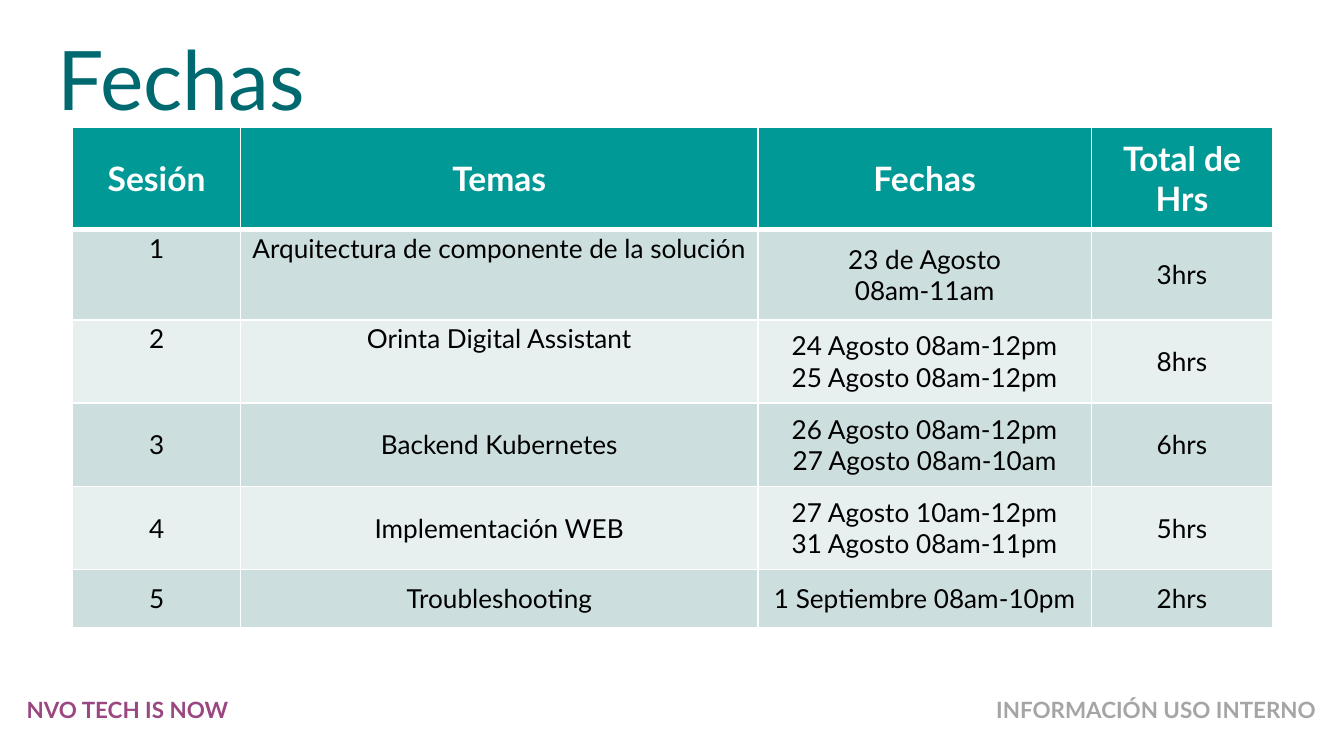
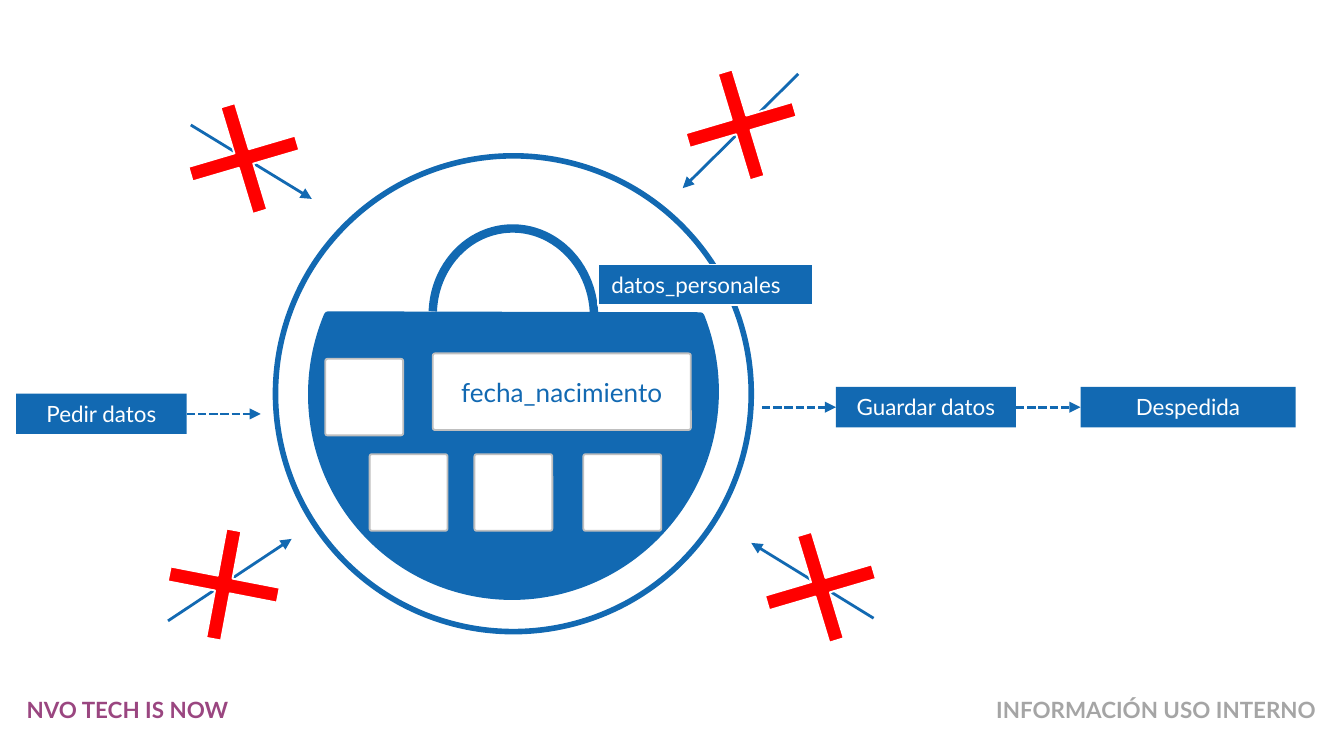
from copy import deepcopy

from lxml import etree
from pptx import Presentation
from pptx.dml.color import RGBColor
from pptx.enum.dml import MSO_LINE
from pptx.enum.shapes import MSO_CONNECTOR, MSO_SHAPE
from pptx.enum.text import MSO_ANCHOR, PP_ALIGN
from pptx.oxml.ns import qn
from pptx.util import Inches, Pt

LEFT, CENTER, RIGHT = PP_ALIGN.LEFT, PP_ALIGN.CENTER, PP_ALIGN.RIGHT
TOP, MIDDLE = MSO_ANCHOR.TOP, MSO_ANCHOR.MIDDLE
STRAIGHT, DASH = MSO_CONNECTOR.STRAIGHT, MSO_LINE.SQUARE_DOT
SITE_LEFT, SITE_RIGHT = 1, 3

FONT = "Lato"
WHITE, BLACK, BLUE, RED = "FFFFFF", "000000", "1269B2", "FF0000"
PURPLE, GREY, SQUARE_EDGE = "9A4680", "A5A5A5", "BFBFBF"
TITLE_TEAL, HEADER_TEAL = "006970", "009996"
ROW_BANDS = ["CCDEDD", "E7EFEF"]

color = RGBColor.from_string


def write(frame, text, size=12, hue=BLACK, bold=False, align=LEFT, anchor=TOP, spacing=None):
    """Fill a text frame: \\n starts a paragraph, \\v breaks a line."""
    frame.word_wrap = True
    frame.vertical_anchor = anchor
    for number, line in enumerate(text.split("\n")):
        paragraph = frame.add_paragraph() if number else frame.paragraphs[0]
        paragraph.alignment = align
        if spacing:
            paragraph.line_spacing = spacing
        for part, words in enumerate(line.split("\v")):
            if part:
                paragraph.add_line_break()
            run = paragraph.add_run()
            run.text = words
            run.font.name, run.font.size, run.font.bold = FONT, Pt(size), bold
            run.font.color.rgb = color(hue)
            if part:  # the break takes the format of its run
                run._r.getprevious().append(deepcopy(run._r.rPr))


def draw(slide, kind, box, fill=None, edge=None, width=1, rotation=0, adjust=()):
    """Add a preset shape with its fill, outline and adjustments."""
    shape = slide.shapes.add_shape(kind, *map(Inches, box))
    shape.shadow.inherit = False
    shape.rotation = rotation
    for index, value in enumerate(adjust):
        shape.adjustments[index] = value
    if fill:
        shape.fill.solid()
        shape.fill.fore_color.rgb = color(fill)
    else:
        shape.fill.background()
    if edge:
        shape.line.color.rgb = color(edge)
        shape.line.width = Pt(width)
    else:
        shape.line.fill.background()
    return shape


# A 16:9 page
prs = Presentation()
prs.slide_width = Inches(10)
prs.slide_height = Inches(10) * 9 // 16

# Both slides carry the same footers
footers = [
    ("NVO TECH IS NOW", 0.1, 2.31, PURPLE, LEFT),
    ("INFORMACIÓN USO INTERNO", 7.17, 2.72, GREY, RIGHT),
]
slides = [prs.slides.add_slide(prs.slide_layouts[6]) for _ in range(2)]
for slide in slides:
    for text, left, width, hue, align in footers:
        footer = slide.shapes.add_textbox(Inches(left), Inches(5.13), Inches(width), Inches(0.3))
        write(footer.text_frame, text, hue=hue, bold=True, align=align)
dates_slide, flow_slide = slides

# Dates: title
title = dates_slide.shapes.add_textbox(Inches(0.33), Inches(0.16), Inches(7.66), Inches(0.84))
write(title.text_frame, "Fechas", size=44, hue=TITLE_TEAL)

# Dates: schedule table
sessions = [
    ("Sesión", "Temas", "Fechas", "Total de Hrs"),
    ("1", "Arquitectura de componente de la solución", "23 de Agosto\v08am-11am", "3hrs"),
    ("2", "Orinta Digital Assistant", "24 Agosto 08am-12pm\n25 Agosto 08am-12pm", "8hrs"),
    ("3", "Backend Kubernetes", "26 Agosto 08am-12pm\n27 Agosto 08am-10am", "6hrs"),
    ("4", "Implementación WEB", "27 Agosto 10am-12pm\n31 Agosto 08am-11pm", "5hrs"),
    ("5", "Troubleshooting", "1 Septiembre 08am-10pm", "2hrs"),
]
column_widths = [1.25, 3.85, 2.48, 1.35]
row_heights = [0.76, 0.67, 0.62, 0.62, 0.62, 0.43]
schedule = dates_slide.shapes.add_table(
    len(sessions), len(column_widths), Inches(0.54), Inches(0.95),
    Inches(sum(column_widths)), Inches(sum(row_heights))).table
for column, width in zip(schedule.columns, column_widths):
    column.width = Inches(width)
for row, height in zip(schedule.rows, row_heights):
    row.height = Inches(height)

for r, session in enumerate(sessions):
    for c, text in enumerate(session):
        cell = schedule.cell(r, c)
        header = r == 0
        raised = r in (1, 2) and c < 2  # the first topics sit at the top of their cells

        # White rules, thicker under the header
        properties = cell._tc.get_or_add_tcPr()
        for side in ("L", "R", "T", "B"):
            thick = (r, side) in ((0, "B"), (1, "T"))
            rule = etree.SubElement(properties, qn("a:ln" + side), w=str(Pt(3 if thick else 1)))
            solid = etree.SubElement(rule, qn("a:solidFill"))
            etree.SubElement(solid, qn("a:srgbClr"), val=WHITE)
        cell.fill.solid()
        cell.fill.fore_color.rgb = color(HEADER_TEAL if header else ROW_BANDS[(r - 1) % 2])

        if not header:
            cell.margin_left = cell.margin_right = Inches(0.07 if raised else 0.05)
            cell.margin_top = cell.margin_bottom = 0
        write(cell.text_frame, text, size=18 if header else 14, hue=WHITE if header else BLACK,
              bold=header, align=CENTER, spacing=1.1 if raised else None)
        cell.vertical_anchor = TOP if raised else MIDDLE

# Flow: ring and padlock
draw(flow_slide, MSO_SHAPE.OVAL, (2.05, 1.16, 3.54, 3.54), edge=BLUE, width=3)
draw(flow_slide, MSO_SHAPE.CHORD, (2.31, 1.43, 3.02, 2.99), BLUE, BLUE, 4.5, rotation=292.7)
draw(flow_slide, MSO_SHAPE.ARC, (3.22, 1.7, 1.2, 1.3), edge=BLUE, width=4.5,
     rotation=356.8, adjust=(111.82, 0.55))

# Flow: fields inside the padlock
fields = [(2.42, 2.67, 0.58, ""), (3.22, 2.63, 1.92, "fecha_nacimiento"),
          (2.75, 3.38, 0.58, ""), (3.53, 3.38, 0.58, ""), (4.34, 3.38, 0.58, "")]
for left, top, width, text in fields:
    field = draw(flow_slide, MSO_SHAPE.ROUNDED_RECTANGLE, (left, top, width, 0.57),
                 WHITE, SQUARE_EDGE, adjust=(0.03,))
    if text:
        write(field.text_frame, text, size=14, hue=BLUE, align=CENTER, anchor=MIDDLE)

# Flow: labelled steps
group_label = draw(flow_slide, MSO_SHAPE.RECTANGLE, (4.45, 1.97, 1.6, 0.3), BLUE, WHITE, 0.75)
write(group_label.text_frame, "datos_personales", hue=WHITE)
steps = []
for text, left, top, width in [("Pedir datos", 0.12, 2.93, 1.27),
                               ("Guardar datos", 6.22, 2.88, 1.34),
                               ("Despedida", 8.04, 2.88, 1.6)]:
    step = draw(flow_slide, MSO_SHAPE.RECTANGLE, (left, top, width, 0.3), BLUE)
    write(step.text_frame, text, hue=WHITE, align=CENTER)
    steps.append(step)
request, save, farewell = steps

# Flow: dashed arrows join the steps, solid ones are the blocked entries
arrows = [
    (1.39, 3.08, 1.94, 3.08, True, request, None),
    (7.56, 3.03, 8.04, 3.03, True, save, farewell),
    (5.67, 3.03, 6.22, 3.03, True, None, save),
    (5.94, 0.55, 5.08, 1.4, False, None, None),
    (1.42, 0.93, 2.32, 1.48, False, None, None),
    (6.5, 4.6, 5.59, 4.04, False, None, None),
    (1.25, 4.62, 2.17, 4.01, False, None, None),
]
for x1, y1, x2, y2, dashed, source, target in arrows:
    arrow = flow_slide.shapes.add_connector(STRAIGHT, *map(Inches, (x1, y1, x2, y2)))
    arrow.line.color.rgb = color(BLUE)
    arrow.line.width = Pt(1.5)
    if dashed:
        arrow.line.dash_style = DASH
    if source:
        arrow.begin_connect(source, SITE_RIGHT)
    if target:
        arrow.end_connect(target, SITE_LEFT)
    etree.SubElement(arrow.line._get_or_add_ln(), qn("a:tailEnd"), type="triangle")
    etree.SubElement(arrow._element.spPr, qn("a:effectLst"))

# Flow: red crosses over the blocked entries
for left, top, rotation in [(4.95, 0.37, 28.4), (1.25, 0.62, 28.4),
                            (5.54, 3.81, 28.4), (1.1, 3.79, 55.8)]:
    draw(flow_slide, MSO_SHAPE.MATH_MULTIPLY, (left, top, 1.13, 1.12), RED, WHITE,
         rotation=rotation, adjust=(0.1,))

prs.save("out.pptx")
